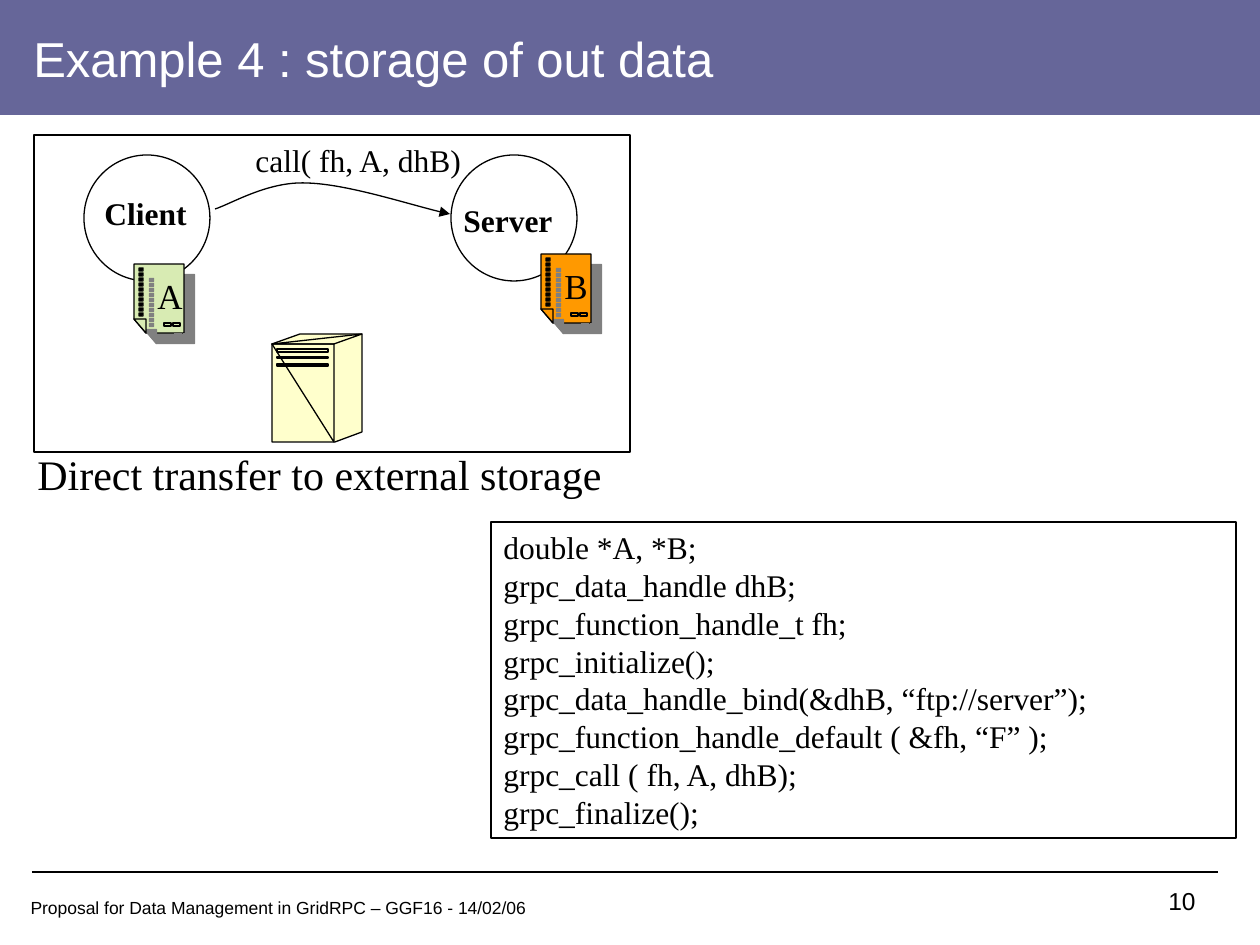
from dataclasses import dataclass

from lxml import etree
from pptx import Presentation
from pptx.dml.color import RGBColor
from pptx.enum import shapes, text
from pptx.oxml.ns import qn
from pptx.util import Pt

PX = 914400 / 126


@dataclass(frozen=True)
class Theme:
    ink = RGBColor.from_string("000000")
    white = RGBColor.from_string("FFFFFF")
    band = RGBColor.from_string("666699")
    tower = RGBColor.from_string("FFFFCC")
    sheet_a = RGBColor.from_string("D8EBB3")
    sheet_b = RGBColor.from_string("FF9900")
    shadow = "808080"
    sans = "Arial"
    serif = "Times New Roman"
    title = 28
    caption = 24
    letter = 20
    body = 18
    number = 14
    footer = 10
    thin = Pt(0.75)
    rule = Pt(1.25)


theme = Theme()
deck = Presentation()
deck.slide_width, deck.slide_height = round(1260 * PX), round(945 * PX)
slide = deck.slides.add_slide(deck.slide_layouts[6])
LEFT, CENTER, RIGHT = text.PP_ALIGN.LEFT, text.PP_ALIGN.CENTER, text.PP_ALIGN.RIGHT


def write(box, words, size, face=theme.serif, color=theme.ink, bold=False,
          align=LEFT, wrap=True, spacing=None):
    """Add a text box, one paragraph for each line of words."""
    label = slide.shapes.add_textbox(*(round(n * PX) for n in box))
    frame = label.text_frame
    frame.word_wrap = wrap
    frame.text = words
    for paragraph in frame.paragraphs:
        paragraph.alignment = align
        if spacing or face == theme.serif:
            paragraph.line_spacing = spacing or Pt(size * 1.2)
        font = paragraph.runs[0].font
        font.name, font.size, font.bold = face, Pt(size), bold
        font.color.rgb = color
    return frame


def draw(contours, fill=None, close=True, shadow=False):
    """Add one freeform made of lists of (x, y) points in px."""
    builder = slide.shapes.build_freeform(*contours[0][0], scale=PX)
    for number, (start, *rest) in enumerate(contours):
        if number:
            builder.move_to(*start)
        builder.add_line_segments(rest, close=close)
    outline = builder.convert_to_shape()
    outline.shadow.inherit = False
    outline.line.color.rgb, outline.line.width = theme.ink, theme.thin
    if fill is None:
        outline.fill.background()
    else:
        outline.fill.solid()
        outline.fill.fore_color.rgb = fill
    if shadow:
        effects = outline._element.spPr.find(qn("a:effectLst"))
        cast = etree.SubElement(effects, qn("a:outerShdw"), dist=str(Pt(8.5)),
                                dir="2700000", algn="ctr", rotWithShape="0")
        etree.SubElement(cast, qn("a:srgbClr"), val=theme.shadow)
    return outline


# Title band, diagram frame, the two hosts and the code frame
RECT, OVAL = shapes.MSO_SHAPE.RECTANGLE, shapes.MSO_SHAPE.OVAL
for preset, box, fill in [
    (RECT, (0, 0, 1260, 115), theme.band),
    (RECT, (34, 135, 596, 317), None),
    (OVAL, (84, 155, 126, 126), None),
    (OVAL, (451, 155, 126, 126), None),
    (RECT, (491, 522, 745, 316), None),
]:
    panel = slide.shapes.add_shape(preset, *(round(n * PX) for n in box))
    panel.shadow.inherit = False
    if fill is None:
        panel.fill.background()
        panel.line.color.rgb, panel.line.width = theme.ink, theme.thin
    else:
        panel.fill.solid()
        panel.fill.fore_color.rgb = fill
        panel.line.fill.background()

# Title and footer
title = write((21, 19, 1071, 77), "Example 4 : storage of out data",
              theme.title, theme.sans, theme.white)
title.vertical_anchor = text.MSO_ANCHOR.MIDDLE
write((1124, 882, 84, 42), "10", theme.number, theme.sans, align=RIGHT, spacing=0.96)
write((10, 892, 536, 53), "Proposal for Data Management in GridRPC – GGF16 - 14/02/06",
      theme.footer, theme.sans, align=CENTER, spacing=0.96)
rule = slide.shapes.add_connector(
    shapes.MSO_CONNECTOR.STRAIGHT, *(round(n * PX) for n in (32, 872, 1218, 872)))
rule.line.color.rgb, rule.line.width = theme.ink, theme.rule
etree.SubElement(rule._element.spPr, qn("a:effectLst"))

# Call arrow: each three points after the first make one Bézier segment
call = draw([[(215, 209), (231, 204), (268, 181), (307, 183),
              (347, 184), (420, 208), (450, 214)]], close=False)
segments = list(call._element.iter(qn("a:lnTo")))
for first in range(0, len(segments), 3):
    curve = etree.Element(qn("a:cubicBezTo"))
    segments[first].addprevious(curve)
    for segment in segments[first:first + 3]:
        curve.append(segment[0])
        segment.getparent().remove(segment)
etree.SubElement(call.line._get_or_add_ln(), qn("a:tailEnd"), type="triangle")

# Storage tower: body, then edges and drive slots
draw([[(272, 344), (300, 334), (362, 334), (362, 432), (335, 442), (272, 442)]],
     theme.tower)
slots = [[(277, top), (328, top), (328, bottom), (277, bottom)]
         for top, bottom in [(349, 352), (357, 358), (364, 366)]]
draw([[(272, 344), (334, 344), (362, 334)],
      [(272, 344), (334, 344), (334, 442)], *slots])

# Data sheets: page, folded corner, two bars, ten punch marks and a letter
page = [(25, 69), (12, 69), (0, 55), (0, 0), (50, 0), (50, 69)]
fold = [(0, 55), (12, 55), (12, 69)]
bars = [[(x, 59), (x + 7, 59), (x + 7, 62), (x, 62)] for x in (30, 39)]
mark = [(0, 0), (4, 0), (1, 1), (0, 1), (1, 3), (4, 0), (4, 3), (0, 3)]
marks = [[(x + 5, y + 4 + 5 * row) for x, y in mark] for row in range(10)]
for letter, left, top, fill in [("B", 541, 254, theme.sheet_b),
                                ("A", 134, 264, theme.sheet_a)]:
    for part in [page, fold, *bars, *marks]:
        draw([[(left + x, top + y) for x, y in part]], fill, shadow=True)
    write((left + 11, top + 4, 34, 55), letter, theme.letter)

# Diagram labels
for words, box, size, bold in [
    ("Client", (92, 188, 107, 50), theme.body, True),
    ("Server", (451, 195, 115, 50), theme.body, True),
    ("call( fh, A, dhB)", (243, 135, 232, 50), theme.body, False),
    ("Direct transfer to external storage", (25, 442, 590, 63), theme.caption, False),
]:
    write(box, words, size, bold=bold, wrap=False)

# Code listing
write((491, 522, 745, 315), """double *A, *B;
grpc_data_handle dhB;
grpc_function_handle_t fh;
grpc_initialize();
grpc_data_handle_bind(&dhB, “ftp://server”);
grpc_function_handle_default ( &fh, “F” );
grpc_call ( fh, A, dhB);
grpc_finalize();""", theme.body)

deck.save("out.pptx")
